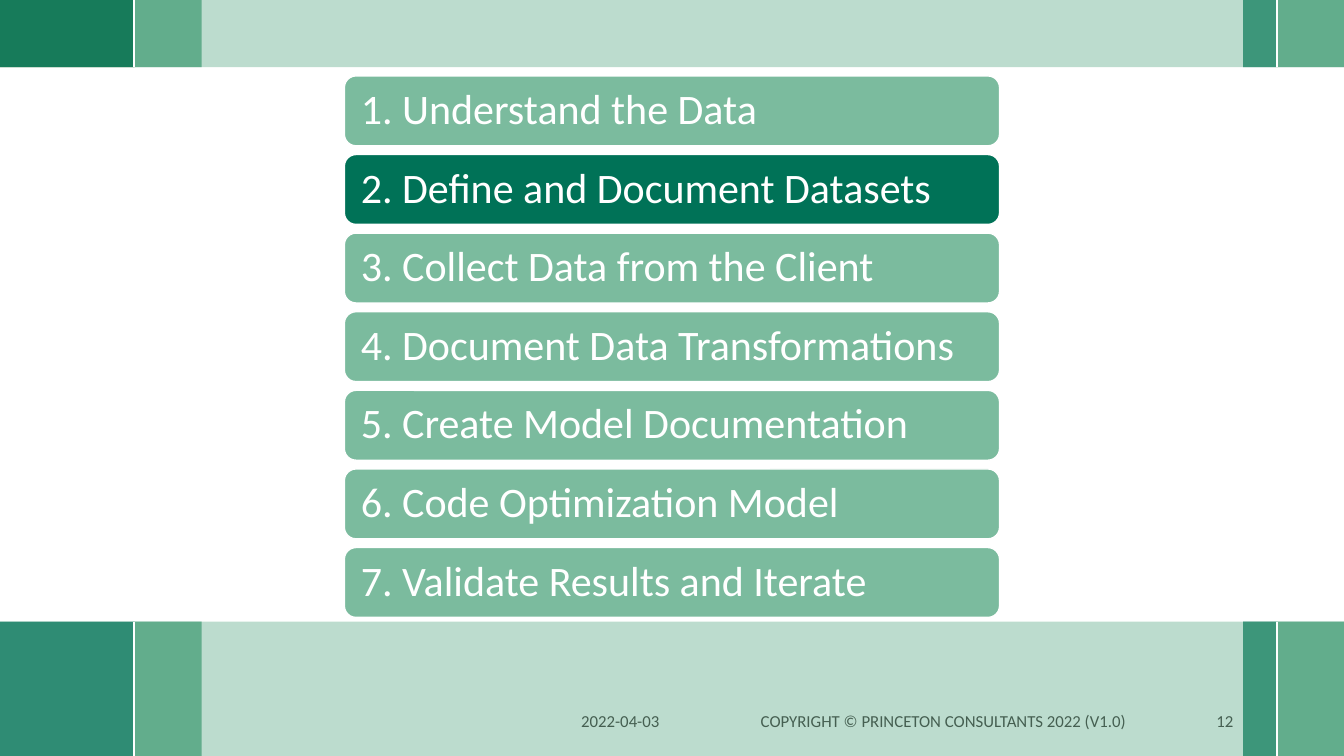
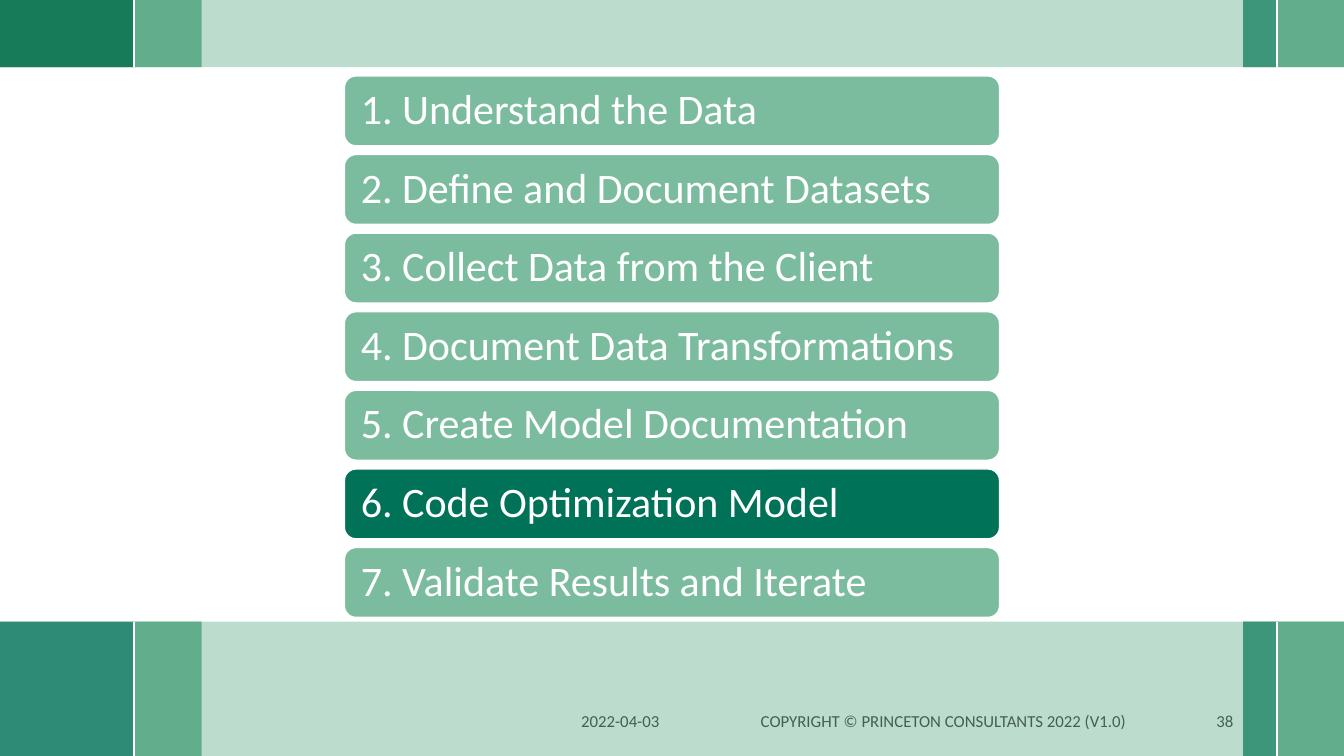
from dataclasses import dataclass

from lxml.etree import SubElement
from pptx import Presentation
from pptx.dml.color import RGBColor
from pptx.enum.shapes import MSO_CONNECTOR as Connector, MSO_SHAPE as Preset
from pptx.enum.text import MSO_ANCHOR as Anchor, PP_ALIGN as Align
from pptx.oxml.ns import qn
from pptx.util import Inches, Pt

# Grid: 20 square columns across the slide
WIDTH, HEIGHT = 13.33, 7.5
COLUMNS = 20
UNIT = WIDTH / COLUMNS
ROWS = HEIGHT / UNIT

# Colours and font
WHITE = RGBColor(0xFF, 0xFF, 0xFF)
DEEP_GREEN = RGBColor(0x00, 0x72, 0x57)
LEAF = RGBColor(0x3F, 0x76, 0x2B)
MID_GREEN = RGBColor(0x4A, 0x9F, 0x7B)
PALE_GREEN = RGBColor(0x7B, 0xBB, 0x9E)
FOOTER_GREY = RGBColor(0x45, 0x5F, 0x51)
FONT = "Calibri"


@dataclass(frozen=True)
class Block:
    """A rectangle of a band, placed by columns."""
    column: float
    columns: float
    color: RGBColor
    alpha: int = 100


@dataclass(frozen=True)
class Divider:
    """A white upright line across a band."""
    column: float


@dataclass(frozen=True)
class FooterItem:
    column: float
    columns: float
    align: Align
    text: str


@dataclass(frozen=True)
class Agenda:
    """One agenda slide: the active step and the page number."""
    active: int
    page: int


# Band parts, from back to front
BAND_BACK = (Block(19, 1, MID_GREEN), Block(18.5, 0.5, DEEP_GREEN), Block(2, 1, MID_GREEN))
BAND_FRONT = (Block(0, COLUMNS, PALE_GREEN, 50), Divider(19),
              Block(0, 2, DEEP_GREEN, 75), Divider(2))
TOP_BAND = (*BAND_BACK, Block(0, 2, LEAF), *BAND_FRONT)
BOTTOM_BAND = BAND_BACK + BAND_FRONT
TOP_ROWS, BOTTOM_ROWS = 1, 2

FOOTER_ROW, FOOTER_ROWS = 10.43, 0.6
FOOTER = (
    FooterItem(8.5, 2, Align.LEFT, "2022-04-03"),
    FooterItem(10.75, 6.58, Align.CENTER, "COPYRIGHT © PRINCETON CONSULTANTS 2022 (V1.0)"),
)

STEPS = (
    "Understand the Data",
    "Define and Document Datasets",
    "Collect Data from the Client",
    "Document Data Transformations",
    "Create Model Documentation",
    "Code Optimization Model",
    "Validate Results and Iterate",
)
STEP_COLUMNS, STEP_ROWS = 9.75, 1.04
FIRST_STEP_ROW, STEP_PITCH = 1.13, 1.17

AGENDAS = (Agenda(active=2, page=12), Agenda(active=6, page=38))

# Text formats
FRAME_FORMAT = {"word_wrap": True, "vertical_anchor": Anchor.MIDDLE}
STEP_FRAME = {**FRAME_FORMAT, "margin_left": Inches(0.13), "margin_right": Inches(0.13),
              "margin_top": 0, "margin_bottom": 0}
STEP_FONT = {"name": FONT, "size": Pt(30)}
FOOTER_FONT = {"name": FONT, "size": Pt(12)}


def grid(*cells: float) -> list[int]:
    return [Inches(cell * UNIT) for cell in cells]


def apply(target, values: dict) -> None:
    for attribute, value in values.items():
        setattr(target, attribute, value)


def write(shape, text: str, frame_format: dict, font_format: dict, color: RGBColor,
          paragraph_format: dict) -> None:
    frame = shape.text_frame
    apply(frame, frame_format)
    paragraph = frame.paragraphs[0]
    paragraph.text = text
    apply(paragraph, paragraph_format)
    apply(paragraph.font, font_format)
    paragraph.font.color.rgb = color


def add_filled(slide, preset: Preset, cells: tuple, color: RGBColor, alpha: int = 100):
    shape = slide.shapes.add_shape(preset, *grid(*cells))
    shape.shadow.inherit = False
    shape.fill.solid()
    shape.fill.fore_color.rgb = color
    if alpha < 100:
        tint = shape.fill._xPr.find(".//" + qn("a:srgbClr"))
        SubElement(tint, qn("a:alpha"), val=str(alpha * 1000))
    shape.line.fill.background()
    return shape


def add_divider(slide, column: float, row: float, rows: float) -> None:
    divider = slide.shapes.add_connector(
        Connector.STRAIGHT, *grid(column, row, column, row + rows))
    divider.line.color.rgb = WHITE
    divider.line.width = Pt(1.5)
    SubElement(divider._element.spPr, qn("a:effectLst"))


def add_band(slide, parts: tuple, row: float, rows: float) -> None:
    for part in parts:
        if isinstance(part, Divider):
            add_divider(slide, part.column, row, rows)
        else:
            add_filled(slide, Preset.RECTANGLE, (part.column, row, part.columns, rows),
                       part.color, part.alpha)


def add_footer(slide, page: int) -> None:
    for item in (*FOOTER, FooterItem(17.5, 1, Align.RIGHT, str(page))):
        box = slide.shapes.add_textbox(
            *grid(item.column, FOOTER_ROW, item.columns, FOOTER_ROWS))
        write(box, item.text, FRAME_FORMAT, FOOTER_FONT, FOOTER_GREY,
              {"alignment": item.align})


def add_steps(slide, active: int) -> None:
    column = (COLUMNS - STEP_COLUMNS) / 2
    for number, title in enumerate(STEPS, start=1):
        row = FIRST_STEP_ROW + (number - 1) * STEP_PITCH
        step = add_filled(slide, Preset.ROUNDED_RECTANGLE,
                          (column, row, STEP_COLUMNS, STEP_ROWS),
                          DEEP_GREEN if number == active else PALE_GREEN)
        step.line.color.rgb = WHITE
        step.line.width = Pt(1)
        write(step, f"{number}. {title}", STEP_FRAME, STEP_FONT, WHITE,
              {"alignment": Align.LEFT, "line_spacing": 0.9})


def main() -> None:
    deck = Presentation()
    deck.slide_width, deck.slide_height = Inches(WIDTH), Inches(HEIGHT)
    blank = deck.slide_layouts[6]
    for agenda in AGENDAS:
        slide = deck.slides.add_slide(blank)
        add_band(slide, BOTTOM_BAND, ROWS - BOTTOM_ROWS, BOTTOM_ROWS)
        add_band(slide, TOP_BAND, 0, TOP_ROWS)
        add_footer(slide, agenda.page)
        add_steps(slide, agenda.active)
    deck.save("out.pptx")


if __name__ == "__main__":
    main()
